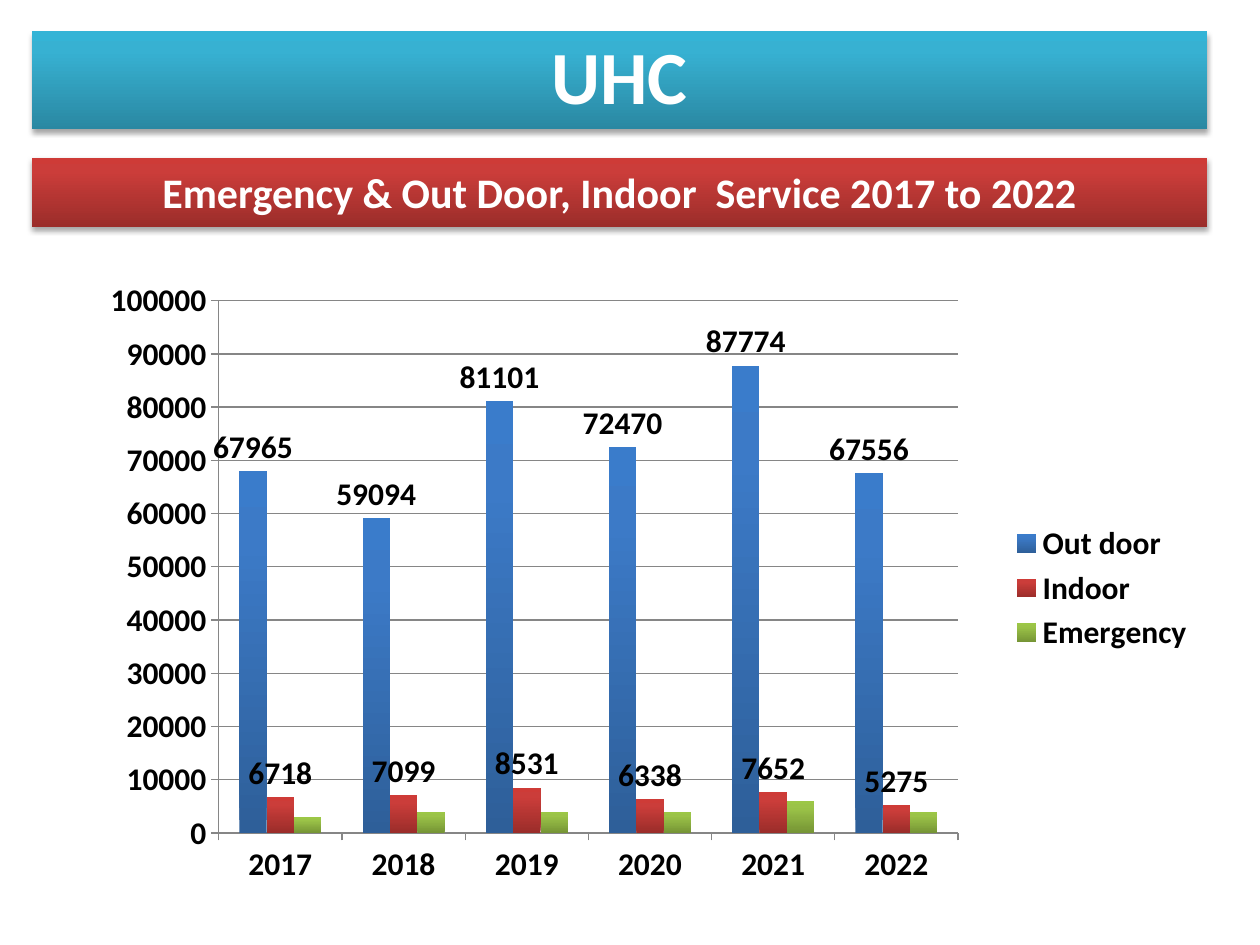
from copy import deepcopy
from dataclasses import dataclass

from lxml import etree
from pptx import Presentation
from pptx.chart.data import CategoryChartData
from pptx.dml.color import RGBColor
from pptx.enum.chart import XL_CHART_TYPE, XL_LABEL_POSITION, XL_LEGEND_POSITION, XL_TICK_MARK
from pptx.enum.shapes import MSO_SHAPE
from pptx.enum.text import MSO_ANCHOR, PP_ALIGN
from pptx.oxml import parse_xml
from pptx.oxml.ns import nsdecls, qn
from pptx.util import Pt

RECTANGLE = MSO_SHAPE.RECTANGLE
COLUMNS = XL_CHART_TYPE.COLUMN_CLUSTERED
OUTSIDE_END = XL_LABEL_POSITION.OUTSIDE_END
LEGEND_RIGHT = XL_LEGEND_POSITION.RIGHT
TICK_OUTSIDE = XL_TICK_MARK.OUTSIDE
MIDDLE = MSO_ANCHOR.MIDDLE
CENTER = PP_ALIGN.CENTER


@dataclass(frozen=True)
class Theme:
    font: str = "Calibri"
    title_size: float = 42.9
    subtitle_size: float = 24
    chart_size: float = 18
    white: str = "FFFFFF"
    black: str = "000000"
    grid: str = "868686"
    # Gradient colours from bottom to top
    teal: tuple = ("2A88A2", "37B1D2", "34B4D6")
    blue: tuple = ("2E5F99", "3C7AC7", "3A7CCB")
    red: tuple = ("9B2D2A", "CB3D3A", "CE3B37")
    green: tuple = ("769535", "9BC348", "9CC746")


theme = Theme()


def fill_gradient(fill, properties, colors):
    """Fill upwards with three colours, at 0, 80 and 100 percent."""
    fill.gradient()
    fill.gradient_angle = 90
    stop_list = properties.find(".//" + qn("a:gsLst"))
    stop_list.insert(1, deepcopy(stop_list[0]))
    for stop, color, position in zip(fill.gradient_stops, colors, (0, 0.8, 1)):
        stop.color.rgb = RGBColor.from_string(color)
        stop.position = position


def style_font(font, size, color):
    font.name = theme.font
    font.size = Pt(size)
    font.bold = True
    font.color.rgb = RGBColor.from_string(color)


presentation = Presentation()
presentation.slide_width = Pt(720)
presentation.slide_height = Pt(540)
slide = presentation.slides.add_slide(presentation.slide_layouts[6])

# Banners
banners = [
    ("UHC", 18, 56, theme.teal, theme.title_size, 0.9),
    ("Emergency & Out Door, Indoor  Service 2017 to 2022", 90, 39.6,
     theme.red, theme.subtitle_size, 1),
]
for text, top, height, colors, size, line_spacing in banners:
    banner = slide.shapes.add_shape(RECTANGLE, Pt(18), Pt(top), Pt(672), Pt(height))
    banner.line.fill.background()
    properties = banner._element.spPr
    fill_gradient(banner.fill, properties, colors)
    properties.append(parse_xml(
        f'<a:effectLst {nsdecls("a")}>'
        f'<a:outerShdw blurRad="{Pt(3.1)}" dist="{Pt(1.8)}" dir="5400000" rotWithShape="0">'
        f'<a:srgbClr val="{theme.black}"><a:alpha val="35000"/></a:srgbClr>'
        '</a:outerShdw></a:effectLst>'))
    text_frame = banner.text_frame
    text_frame.text = text
    text_frame.word_wrap = True
    text_frame.vertical_anchor = MIDDLE
    paragraph = text_frame.paragraphs[0]
    paragraph.alignment = CENTER
    paragraph.line_spacing = line_spacing
    style_font(paragraph.runs[0].font, size, theme.white)

# Patients by service and year
services = [
    ("Out door", (67965, 59094, 81101, 72470, 87774, 67556), theme.blue, True),
    ("Indoor", (6718, 7099, 8531, 6338, 7652, 5275), theme.red, True),
    ("Emergency", (3000, 4000, 4000, 4000, 6000, 4000), theme.green, False),
]
chart_data = CategoryChartData()
chart_data.categories = [str(year) for year in range(2017, 2023)]
for name, values, _, _ in services:
    chart_data.add_series(name, values)
chart = slide.shapes.add_chart(
    COLUMNS, Pt(48), Pt(156), Pt(642), Pt(360), chart_data).chart
style_font(chart.font, theme.chart_size, theme.black)
chart.has_title = False
chart.has_legend = True
chart.legend.position = LEGEND_RIGHT
chart.legend.include_in_layout = False

plot = chart.plots[0]
plot.gap_width = 150
plot.overlap = 0
plot.vary_by_categories = False
for series, (_, _, colors, has_labels) in zip(plot.series, services):
    series.invert_if_negative = False
    fill_gradient(series.format.fill, series._element.get_or_add_spPr(), colors)
    if has_labels:
        labels = series.data_labels
        labels.show_value = True
        labels.position = OUTSIDE_END
        style_font(labels.font, theme.chart_size, theme.black)

value_axis = chart.value_axis
value_axis.minimum_scale = 0
value_axis.maximum_scale = 100000
value_axis.major_unit = 10000
value_axis.has_major_gridlines = True
for axis in (chart.category_axis, value_axis):
    axis.major_tick_mark = TICK_OUTSIDE
for lined in (chart.category_axis, value_axis, value_axis.major_gridlines):
    lined.format.line.color.rgb = RGBColor.from_string(theme.grid)
    lined.format.line.width = Pt(0.75)

# Fixed inner plot area, as fractions of the chart
plot_area = chart._chartSpace.chart.plotArea
for old_layout in plot_area.findall(qn("c:layout")):
    plot_area.remove(old_layout)
layout = etree.Element(qn("c:layout"))
manual = etree.SubElement(layout, qn("c:manualLayout"))
settings = [("layoutTarget", "inner"), ("xMode", "edge"), ("yMode", "edge"),
            ("x", "0.12"), ("y", "0.044"), ("w", "0.658"), ("h", "0.845")]
for tag, value in settings:
    etree.SubElement(manual, qn(f"c:{tag}"), val=value)
plot_area.insert(0, layout)

presentation.save("out.pptx")
